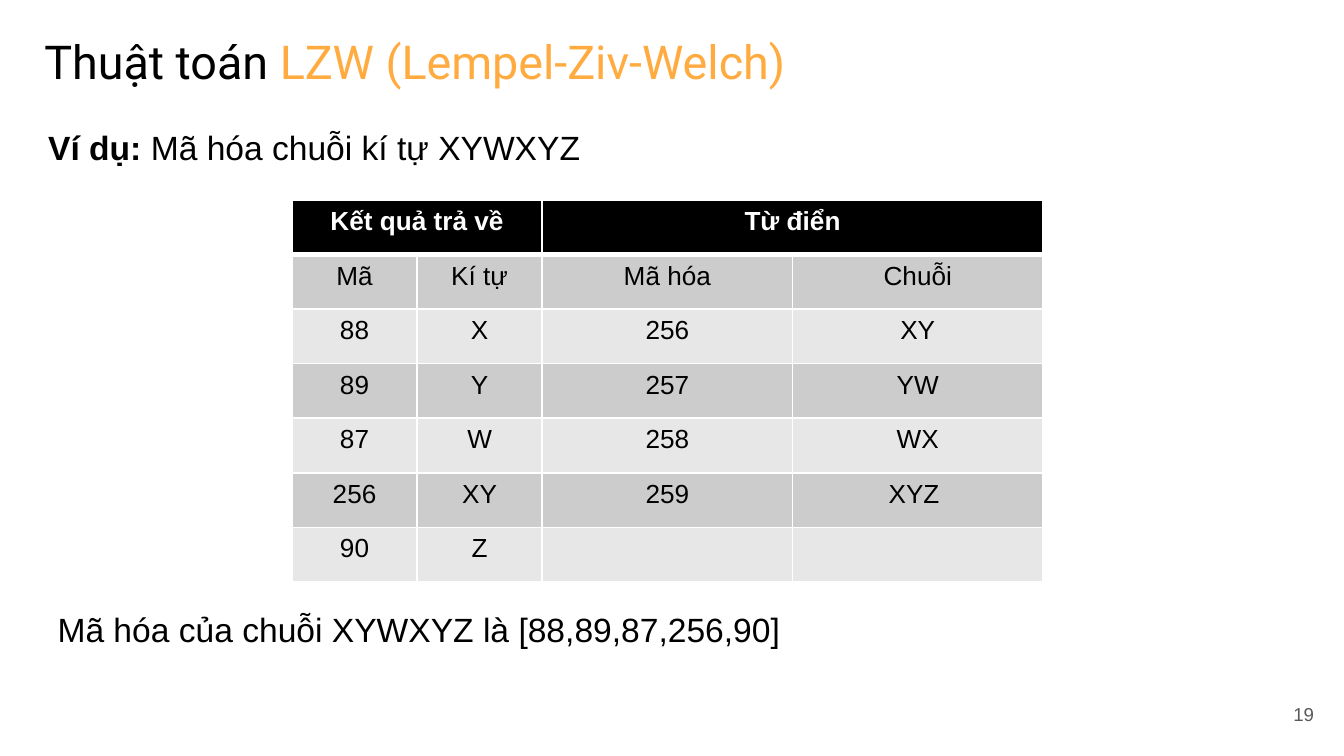
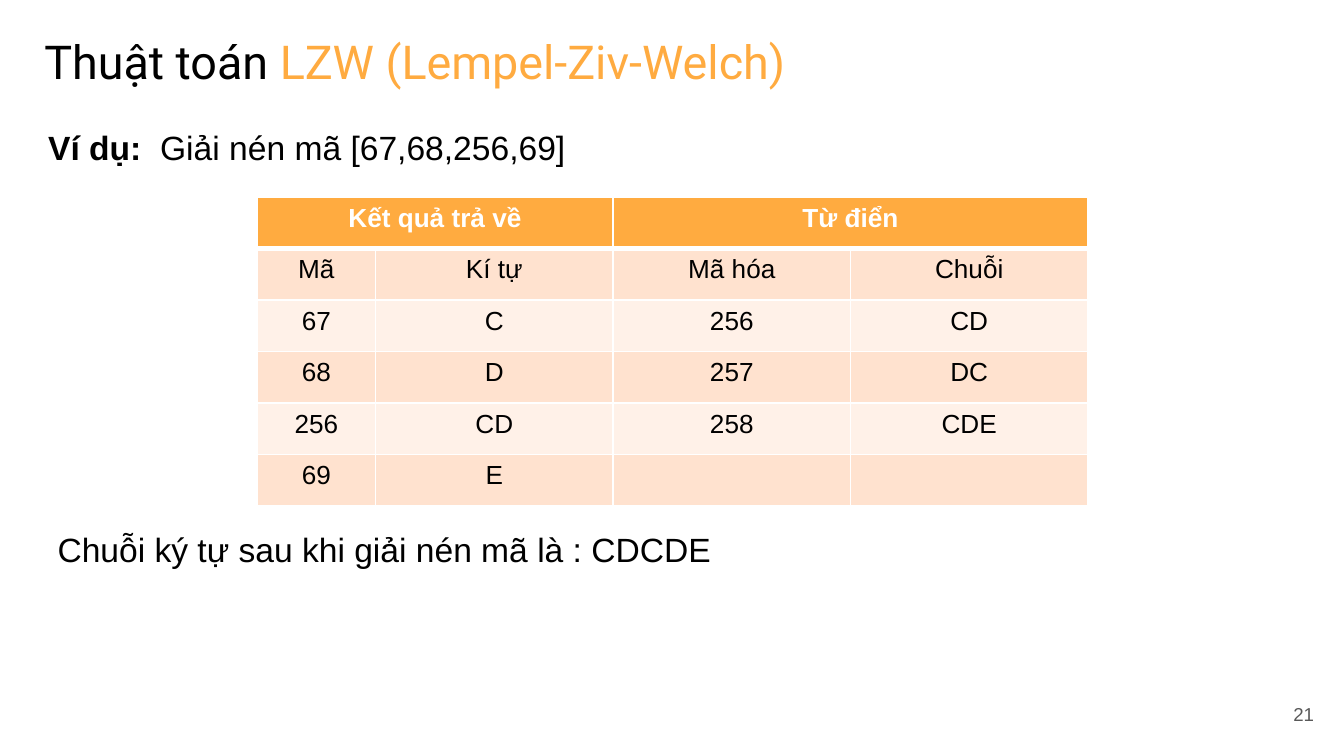
import lxml.etree
import pptx
import pptx.dml.color
import pptx.enum.text
import pptx.oxml.ns
import pptx.util

# Content
TITLE = [("Thuật toán ", "text"), ("LZW (Lempel-Ziv-Welch)", "accent")]
GROUPS = ["Kết quả trả về", "Từ điển"]
COLUMNS = ["Mã", "Kí tự", "Mã hóa", "Chuỗi"]

EXAMPLES = [
    {
        "number": "19",
        "label": "Ví dụ: ",
        "task": "Mã hóa chuỗi kí tự XYWXYZ",
        "answer": " Mã hóa của chuỗi XYWXYZ là [88,89,87,256,90]",
        "rows": [
            ("88", "X", "256", "XY"),
            ("89", "Y", "257", "YW"),
            ("87", "W", "258", "WX"),
            ("256", "XY", "259", "XYZ "),
            ("90", "Z", "", ""),
        ],
        "table_box": (292, 200, 751, 382),
        "column_shares": (1, 1, 2, 2),
        "palette": "gray",
        "body_height": 583,
        "answer_gap": 443,
    },
    {
        "number": "21",
        "label": "Ví dụ:  ",
        "task": "Giải nén mã [67,68,256,69]",
        "answer": " Chuỗi ký tự sau khi giải nén mã là : CDCDE",
        "rows": [
            ("67", "C", "256", "CD"),
            ("68", "D", "257", "DC"),
            ("256", "CD", "258", "CDE"),
            ("69", "E", "", ""),
        ],
        "table_box": (257, 197, 831, 309),
        "column_shares": (1, 2, 2, 2),
        "palette": "orange",
        "body_height": 503,
        "answer_gap": 363,
    },
]

# Theme
THEME = {
    "colors": {"text": "000000", "accent": "FFAB40", "number": "595959", "white": "FFFFFF"},
    "sizes": {"title": 25, "body": 18, "table": 14, "number": 10},
    "fonts": {"title": "Roboto", "body": "Arial"},
    # header fill, then the two alternating row fills
    "palettes": {
        "gray": ("000000", "CCCCCC", "E7E7E7"),
        "orange": ("FFAB40", "FFE2CF", "FFF1E8"),
    },
    "borders": {"thin": 1, "header": 3},
}
PAGE_SIZE = (1344, 756)
TITLE_BOX = (31, 26, 797, 70)
BODY_LEFT, BODY_TOP, BODY_WIDTH = 35, 120, 1200
NUMBER_BOX = (1246, 685, 81, 58)
NUMBER_INSET = 13

ALIGN = pptx.enum.text.PP_ALIGN
ANCHOR = pptx.enum.text.MSO_ANCHOR


def px(length):
    return pptx.util.Emu(round(length * 914400 / 134.4))


def rgb(name):
    return pptx.dml.color.RGBColor.from_string(THEME["colors"].get(name, name))


def style(para, role, color=None, align=ALIGN.LEFT, bold=None):
    para.alignment = align
    para.font.name = THEME["fonts"]["title" if role == "title" else "body"]
    para.font.size = pptx.util.Pt(THEME["sizes"][role])
    para.font.bold = bold
    if color:
        para.font.color.rgb = rgb(color)


def add_span(para, text):
    span = para.add_run()
    span.text = text
    return span


def add_text_box(page, box):
    frame = page.shapes.add_textbox(*map(px, box)).text_frame
    frame.word_wrap = True
    return frame


# Title and page number
def add_title(page):
    title = page.shapes.title
    title.left, title.top, title.width, title.height = map(px, TITLE_BOX)
    frame = title.text_frame
    frame.word_wrap = True
    frame.auto_size = pptx.enum.text.MSO_AUTO_SIZE.NONE
    frame.vertical_anchor = ANCHOR.TOP
    para = frame.paragraphs[0]
    style(para, "title")
    for text, color in TITLE:
        add_span(para, text).font.color.rgb = rgb(color)


def add_number(page, number):
    frame = add_text_box(page, NUMBER_BOX)
    frame.vertical_anchor = ANCHOR.MIDDLE
    frame.margin_left = frame.margin_right = px(NUMBER_INSET)
    frame.margin_top = frame.margin_bottom = px(NUMBER_INSET)
    para = frame.paragraphs[0]
    add_span(para, number)
    style(para, "number", "number", ALIGN.RIGHT)


# Task above the table and answer below it
def add_body(page, example):
    frame = add_text_box(page, (BODY_LEFT, BODY_TOP, BODY_WIDTH, example["body_height"]))
    task = frame.paragraphs[0]
    add_span(task, example["label"]).font.bold = True
    add_span(task, example["task"])
    answer = frame.add_paragraph()
    add_span(answer, example["answer"])
    answer.space_before = pptx.util.Pt(round(px(example["answer_gap"]).pt))
    for para in (task, answer):
        style(para, "body", "text")


# Code table
def set_borders(cell, widths):
    properties = cell._tc.get_or_add_tcPr()
    for position, (side, width) in enumerate(widths.items()):
        line = lxml.etree.Element(pptx.oxml.ns.qn(f"a:ln{side}"), w=str(pptx.util.Pt(width)))
        fill = lxml.etree.SubElement(line, pptx.oxml.ns.qn("a:solidFill"))
        lxml.etree.SubElement(fill, pptx.oxml.ns.qn("a:srgbClr"), val=THEME["colors"]["white"])
        properties.insert(position, line)


def add_code_table(page, example):
    group_row = [GROUPS[0], "", GROUPS[1], ""]
    rows = [group_row, COLUMNS, *example["rows"]]
    shares = example["column_shares"]
    left, top, width, height = example["table_box"]
    table = page.shapes.add_table(
        len(rows), len(COLUMNS), px(left), px(top), px(width), px(height)).table
    table.first_row = table.horz_banding = False
    for column, share in zip(table.columns, shares):
        column.width = px(width * share / sum(shares))

    header_fill, *bands = THEME["palettes"][example["palette"]]
    thin, thick = THEME["borders"]["thin"], THEME["borders"]["header"]
    for row_index, texts in enumerate(rows):
        table.rows[row_index].height = px(height / len(rows))
        is_header = row_index == 0
        for column_index, text in enumerate(texts):
            cell = table.cell(row_index, column_index)
            cell.fill.solid()
            cell.fill.fore_color.rgb = rgb(header_fill if is_header else bands[(row_index - 1) % 2])
            set_borders(cell, {"L": thin, "R": thin,
                               "T": thick if row_index == 1 else thin,
                               "B": thick if is_header else thin})
            para = cell.text_frame.paragraphs[0]
            if text:
                add_span(para, text)
            style(para, "table", "white" if is_header else "text", ALIGN.CENTER, is_header)
    for first in (0, 2):
        table.cell(0, first).merge(table.cell(0, first + 1))


def main():
    deck = pptx.Presentation()
    deck.slide_width, deck.slide_height = map(px, PAGE_SIZE)
    for example in EXAMPLES:
        page = deck.slides.add_slide(deck.slide_layouts.get_by_name("Title Only"))
        add_number(page, example["number"])
        add_title(page)
        add_body(page, example)
        add_code_table(page, example)
    deck.save("out.pptx")


if __name__ == "__main__":
    main()
